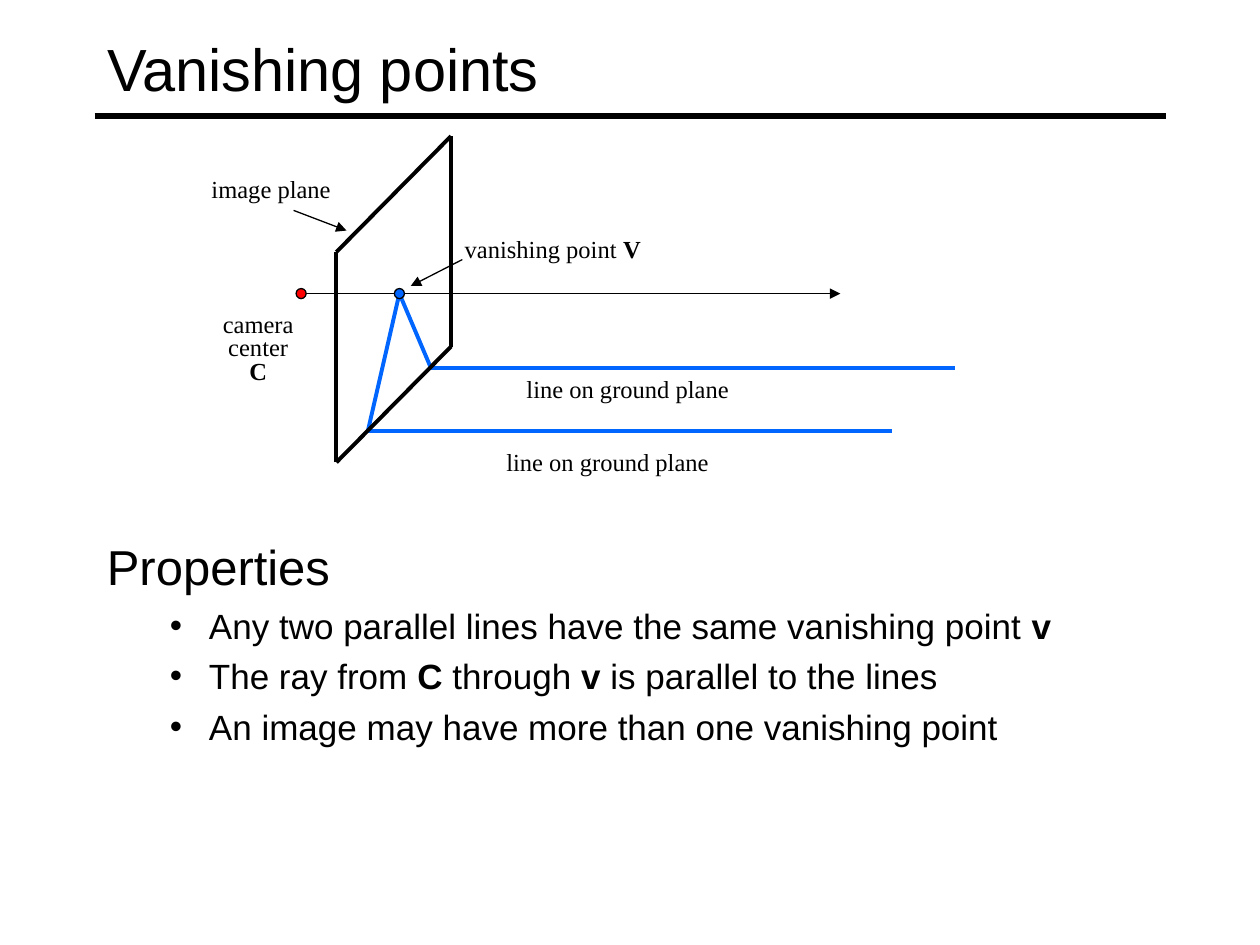
from lxml.etree import SubElement
from pptx import Presentation
from pptx.dml.color import RGBColor
from pptx.enum.shapes import MSO_CONNECTOR as Connector, MSO_SHAPE as Shape
from pptx.enum.text import MSO_ANCHOR as Anchor, MSO_AUTO_SIZE as AutoSize, PP_ALIGN as Align
from pptx.oxml.ns import qn
from pptx.util import Inches, Pt

BLACK, BLUE, RED = "000000", "0066FF", "FF0000"
SANS, SERIF = "Arial", "Times New Roman"

# Content: a paragraph is a list of (text, bold) spans
TITLE = [("Vanishing points", False)]
HEADING = [("Properties", False)]
BULLETS = [
    [("Any two parallel lines have the same vanishing point ", False), ("v", True)],
    [("The ray from ", False), ("C", True), (" through ", False), ("v", True),
     (" is parallel to the lines", False)],
    [("An image may have more than one vanishing point", False)],
]
GROUND = [[("line on ground plane", False)]]
LABELS = [  # box, paragraphs, alignment
    ((1.58, 1.33, 1.15, 0.33), [[("image plane", False)]], Align.LEFT),
    ((1.67, 2.4, 0.76, 0.7),
     [[("camera", False)], [("center", False)], [("C", True)]], Align.CENTER),
    ((3.92, 3.5, 1.81, 0.33), GROUND, Align.LEFT),
    ((4.08, 2.92, 1.81, 0.33), GROUND, Align.LEFT),
    ((3.59, 1.81, 1.6, 0.33), [[("vanishing point ", False), ("V", True)]], Align.LEFT),
]

# Geometry of the diagram
CAMERA, VANISHING = (2.39, 2.33), (3.17, 2.33)
NEAR, FAR = (2.92, 3.42), (3.42, 2.92)  # where the ground lines meet the plane
PLANE = [(2.67, 2), (3.58, 1.08), (3.58, 2.75), (2.67, 3.67)]
GROUND_LINES = [(NEAR, (7.08, 3.42)), (FAR, (7.58, 2.92)),
                (NEAR, VANISHING), (FAR, VANISHING)]
ARROWS = [((2.33, 1.67), (2.75, 1.83)), ((2.42, 2.33), (6.67, 2.33)),
          ((3.67, 2.06), (3.26, 2.27))]
DOT = 0.08


def color(value):
    return RGBColor.from_string(value)


def add_line(page, start, end, ink, width, arrow=False):
    line = page.shapes.add_connector(
        Connector.STRAIGHT, *[Inches(value) for value in (*start, *end)])
    line.line.color.rgb = color(ink)
    line.line.width = Pt(width)
    if arrow:
        SubElement(line.line._get_or_add_ln(), qn("a:tailEnd"), type="triangle")
    SubElement(line._element.spPr, qn("a:effectLst"))


def add_dot(page, center, ink):
    left, top = [Inches(value - DOT / 2) for value in center]
    dot = page.shapes.add_shape(Shape.OVAL, left, top, Inches(DOT), Inches(DOT))
    dot.shadow.inherit = False
    dot.fill.solid()
    dot.fill.fore_color.rgb = color(ink)
    dot.line.color.rgb = color(BLACK)
    dot.line.width = Pt(0.75)


def write(para, spans, font, size, **formats):
    for name, value in formats.items():
        setattr(para, name, value)
    for text, bold in spans:
        span = para.add_run()
        span.text = text
        for name, value in {"name": font, "size": Pt(size), "bold": bold}.items():
            setattr(span.font, name, value)
        span.font.color.rgb = color(BLACK)


def add_bullet(para):
    properties = para._p.get_or_add_pPr()
    properties.set("marL", str(Inches(0.81)))
    properties.set("indent", str(Inches(-0.31)))
    SubElement(properties, qn("a:buFont"), typeface=SANS)
    SubElement(properties, qn("a:buChar"), char="•")


def add_box(page, place, wrap):
    box = page.shapes.add_textbox(*[Inches(value) for value in place])
    box.text_frame.word_wrap = wrap
    return box.text_frame


def main():
    deck = Presentation()
    deck.slide_width, deck.slide_height = Inches(10), Inches(7.5)
    page = deck.slides.add_slide(deck.slide_layouts[5])

    # Title and its rule
    title = page.shapes.title
    for name, value in zip(("left", "top", "width", "height"), (0.75, 0.08, 8.5, 0.92)):
        setattr(title, name, Inches(value))
    frame = title.text_frame
    frame.vertical_anchor = Anchor.MIDDLE
    frame.auto_size = AutoSize.NONE
    write(frame.paragraphs[0], TITLE, SANS, 34, alignment=Align.LEFT)
    add_line(page, (0.75, 0.92), (9.25, 0.92), BLACK, 3)

    # Properties
    frame = add_box(page, (0.75, 4.21, 9.08, 2.46), True)
    write(frame.paragraphs[0], HEADING, SANS, 28)
    for spans in BULLETS:
        para = frame.add_paragraph()
        para.space_before = Pt(5)
        add_bullet(para)
        write(para, spans, SANS, 20)

    # Diagram
    for start, end in GROUND_LINES:
        add_line(page, start, end, BLUE, 2.25)
    for start, end in zip(PLANE, PLANE[1:] + PLANE[:1]):
        add_line(page, start, end, BLACK, 2.25)
    for start, end in ARROWS:
        add_line(page, start, end, BLACK, 0.75, arrow=True)
    add_dot(page, CAMERA, RED)
    add_dot(page, VANISHING, BLUE)

    # Labels
    for place, paragraphs, alignment in LABELS:
        frame = add_box(page, place, False)
        frame.auto_size = AutoSize.SHAPE_TO_FIT_TEXT
        for index, spans in enumerate(paragraphs):
            para = frame.add_paragraph() if index else frame.paragraphs[0]
            write(para, spans, SERIF, 14, alignment=alignment,
                  line_spacing=0.8 if index else None)

    deck.save("out.pptx")


if __name__ == "__main__":
    main()
